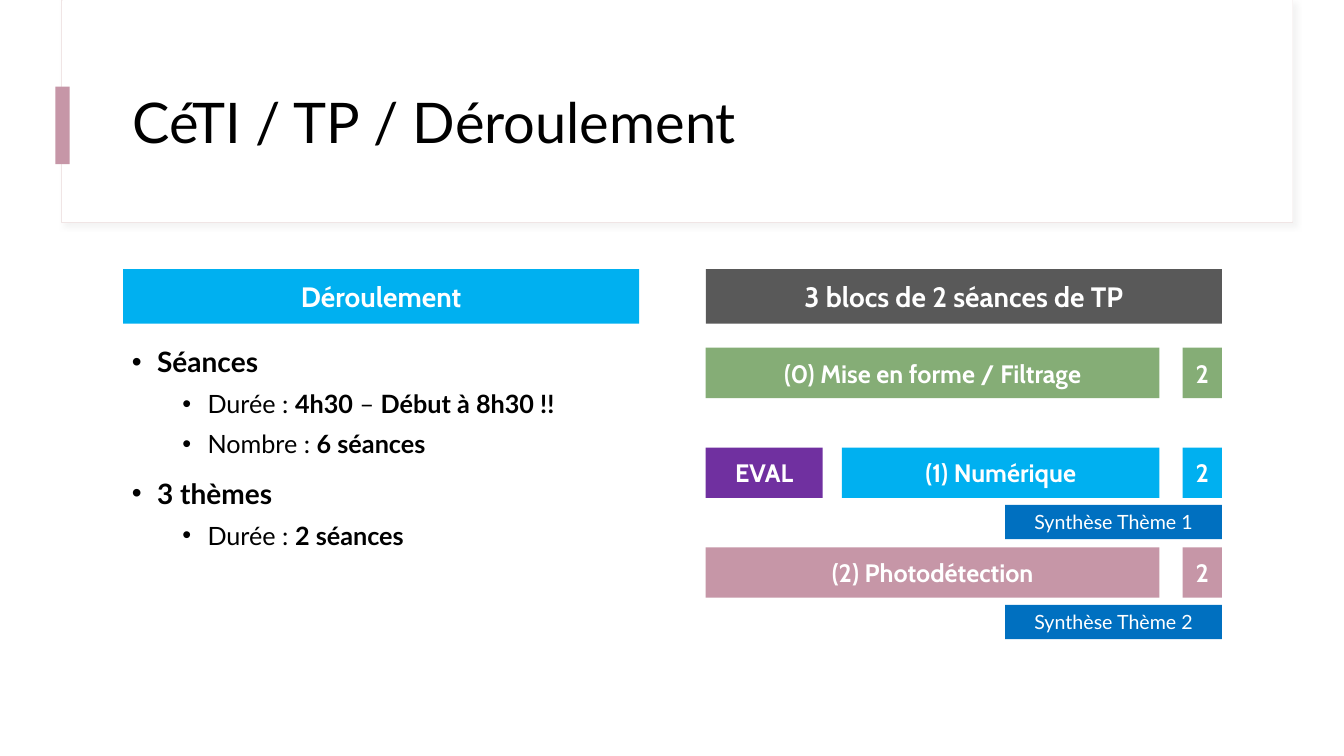
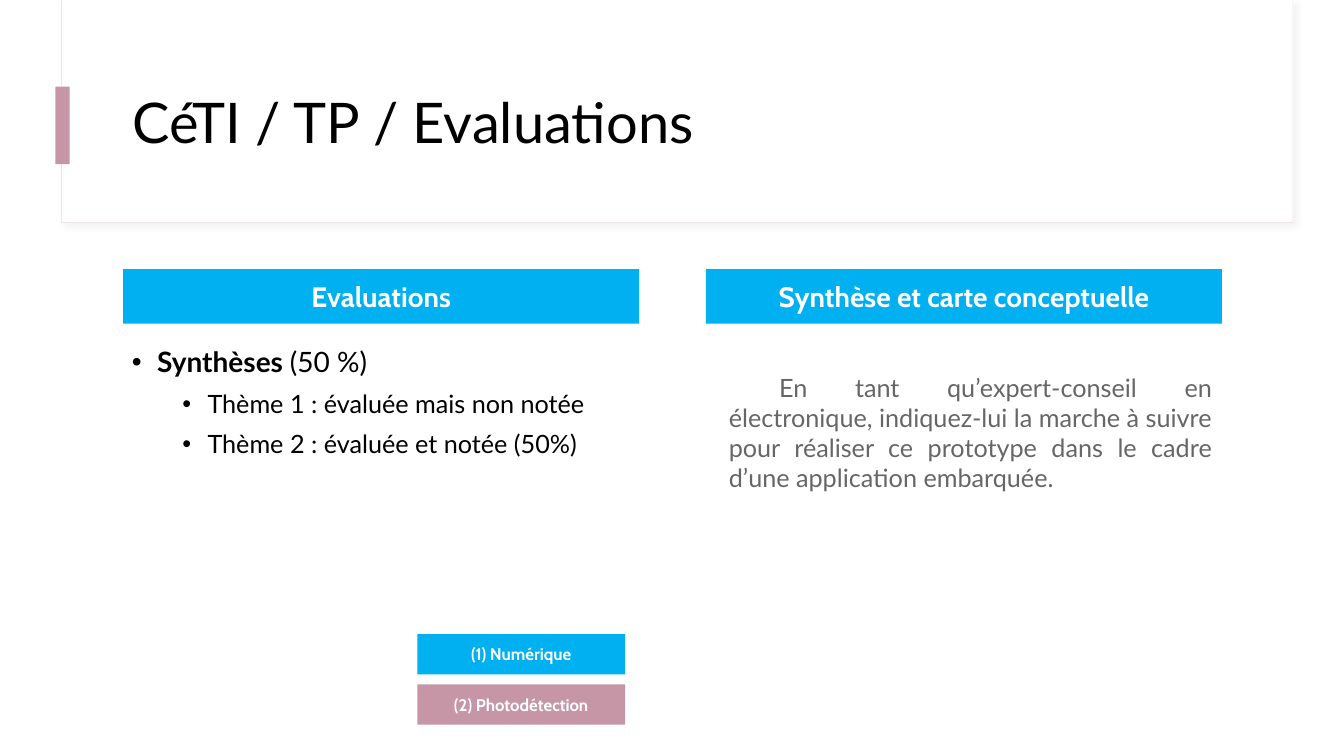
from lxml import etree
from pptx import Presentation
from pptx.dml.color import RGBColor
from pptx.enum.shapes import MSO_SHAPE
from pptx.enum.text import MSO_ANCHOR, PP_ALIGN
from pptx.oxml.ns import qn
from pptx.util import Emu, Pt

PX = 9144
RECT = MSO_SHAPE.RECTANGLE
MIDDLE = MSO_ANCHOR.MIDDLE
CENTER, JUSTIFY = PP_ALIGN.CENTER, PP_ALIGN.JUSTIFY
HEAD_FONT, BODY_FONT = "Cabin", "Lato"
C = {
    "white": "FFFFFF", "black": "000000", "text": "666666",
    "dark": "595959", "border": "F0E5E5", "shadow": "D9D9D9",
    "sky": "00B0F0", "blue": "0070C0", "green": "85AD76",
    "pink": "C696A7", "purple": "7030A0",
}
LEFT, RIGHT, COL_W = 122, 700, 512
RIGHT_EDGE = RIGHT + COL_W
BLOCK_TOP, BLOCK_STEP, BLOCK_H = 345, 99, 50
BLOCK_EDGE, COUNT_W = 1150, 39


def px(n):
    return Emu(n * PX)


def rgb(name):
    return RGBColor.from_string(C[name])


def add_run(p, text, *, size=18, font=BODY_FONT, color="black", bold=False):
    r = p.add_run()
    r.text = text
    r.font.size = Pt(size)
    r.font.name = font
    r.font.color.rgb = rgb(color)
    r.font.bold = bold


def add_rect(slide, x, y, w, h, fill, line=None):
    sp = slide.shapes.add_shape(RECT, px(x), px(y), px(w), px(h))
    sp.shadow.inherit = False
    sp.fill.solid()
    sp.fill.fore_color.rgb = rgb(fill)
    if line:
        sp.line.color.rgb = rgb(line)
        sp.line.width = Pt(0.75)
    else:
        sp.line.fill.background()
    return sp


def add_shadow(sp):
    effects = sp._element.spPr.find(qn("a:effectLst"))
    shadow = etree.SubElement(effects, qn("a:outerShdw"), blurRad=str(Pt(4)),
                              dist=str(Pt(3)), dir="2700000", rotWithShape="0")
    color = etree.SubElement(shadow, qn("a:srgbClr"), val=C["shadow"])
    etree.SubElement(color, qn("a:alpha"), val="30000")


def add_label(slide, x, y, w, h, fill, text, *, size=18, font=HEAD_FONT, bold=True):
    tf = add_rect(slide, x, y, w, h, fill).text_frame
    tf.margin_left = tf.margin_right = tf.margin_top = tf.margin_bottom = 0
    tf.vertical_anchor = MIDDLE
    p = tf.paragraphs[0]
    p.alignment = CENTER
    add_run(p, text, size=size, font=font, color="white", bold=bold)


def add_header(slide, x, fill, text):
    add_label(slide, x, 267, COL_W, 54, fill, text, size=20)


def add_textbox(slide, x, y, w, h):
    tf = slide.shapes.add_textbox(px(x), px(y), px(w), px(h)).text_frame
    tf.word_wrap = True
    return tf


def add_bullets(slide, items):
    tf = add_textbox(slide, LEFT - 1, 334, COL_W, 404)
    for i, (level, runs) in enumerate(items):
        p = tf.add_paragraph() if i else tf.paragraphs[0]
        p.level = level
        p.line_spacing = 1.1
        if i:
            p.space_before = Pt(5 if level else 10)
        pPr = p._p.get_or_add_pPr()
        pPr.set("marL", str(px(75 if level else 25)))
        pPr.set("indent", str(px(-25)))
        etree.SubElement(pPr, qn("a:buFont"), typeface="Arial")
        etree.SubElement(pPr, qn("a:buChar"), char="•")
        for text, bold in runs:
            add_run(p, text, size=18 if level else 20, bold=bold)


def add_slide(prs, title):
    slide = prs.slides.add_slide(prs.slide_layouts[6])
    add_shadow(add_rect(slide, 61, 0, 1221, 221, "white", line="border"))
    add_rect(slide, 62, 0, 1220, 220, "white")
    add_rect(slide, 55, 86, 14, 77, "pink")
    tf = add_textbox(slide, LEFT, 60, 1112, 129)
    tf.vertical_anchor = MIDDLE
    p = tf.paragraphs[0]
    p.line_spacing = 0.9
    add_run(p, title, size=40)
    return slide


def add_block(slide, row, x, fill, text):
    y = BLOCK_TOP + row * BLOCK_STEP
    add_label(slide, x, y, BLOCK_EDGE - x, BLOCK_H, fill, text)
    add_label(slide, RIGHT_EDGE - COUNT_W, y, COUNT_W, BLOCK_H, fill, "2")
    if row:
        add_label(slide, RIGHT_EDGE - 215, y + 57, 215, 34, "blue",
                  f"Synthèse Thème {row}", size=14, font=BODY_FONT, bold=False)


def build_schedule(prs):
    slide = add_slide(prs, "CéTI / TP / Déroulement")
    add_header(slide, LEFT, "sky", "Déroulement")
    add_header(slide, RIGHT, "dark", "3 blocs de 2 séances de TP")
    add_bullets(slide, [
        (0, [("Séances", True)]),
        (1, [("Durée : ", False), ("4h30", True), (" – ", False),
             ("Début à 8h30 !!", True)]),
        (1, [("Nombre : ", False), ("6 séances", True)]),
        (0, [("3 thèmes", True)]),
        (1, [("Durée : ", False), ("2 séances", True)]),
    ])
    add_block(slide, 0, RIGHT, "green", "(0) Mise en forme / Filtrage")
    add_block(slide, 1, 835, "sky", "(1) Numérique")
    add_block(slide, 2, RIGHT, "pink", "(2) Photodétection")
    add_label(slide, RIGHT, BLOCK_TOP + BLOCK_STEP, 116, BLOCK_H, "purple", "EVAL")


def build_evaluations(prs):
    slide = add_slide(prs, "CéTI / TP / Evaluations")
    add_header(slide, LEFT, "sky", "Evaluations")
    add_header(slide, RIGHT, "sky", "Synthèse et carte conceptuelle")
    add_bullets(slide, [
        (0, [("Synthèses ", True), ("(50 %)", False)]),
        (1, [("Thème 1 : évaluée mais non notée", False)]),
        (1, [("Thème 2 : évaluée et notée (50%)", False)]),
    ])
    themes = [("sky", "(1) Numérique"), ("pink", "(2) Photodétection")]
    for i, (fill, text) in enumerate(themes):
        add_label(slide, 414, 629 + 50 * i, 206, 40, fill, text, size=12)
    p = add_textbox(slide, 713, 364, 499, 131).paragraphs[0]
    p.alignment = JUSTIFY
    p._p.get_or_add_pPr().set("indent", str(px(50)))
    add_run(p, "En tant qu’expert-conseil en électronique, indiquez-lui la marche "
               "à suivre pour réaliser ce prototype dans le cadre d’une "
               "application embarquée.", color="text")


def main():
    prs = Presentation()
    prs.slide_width, prs.slide_height = px(1333), px(750)
    build_schedule(prs)
    build_evaluations(prs)
    prs.save("out.pptx")


if __name__ == "__main__":
    main()
